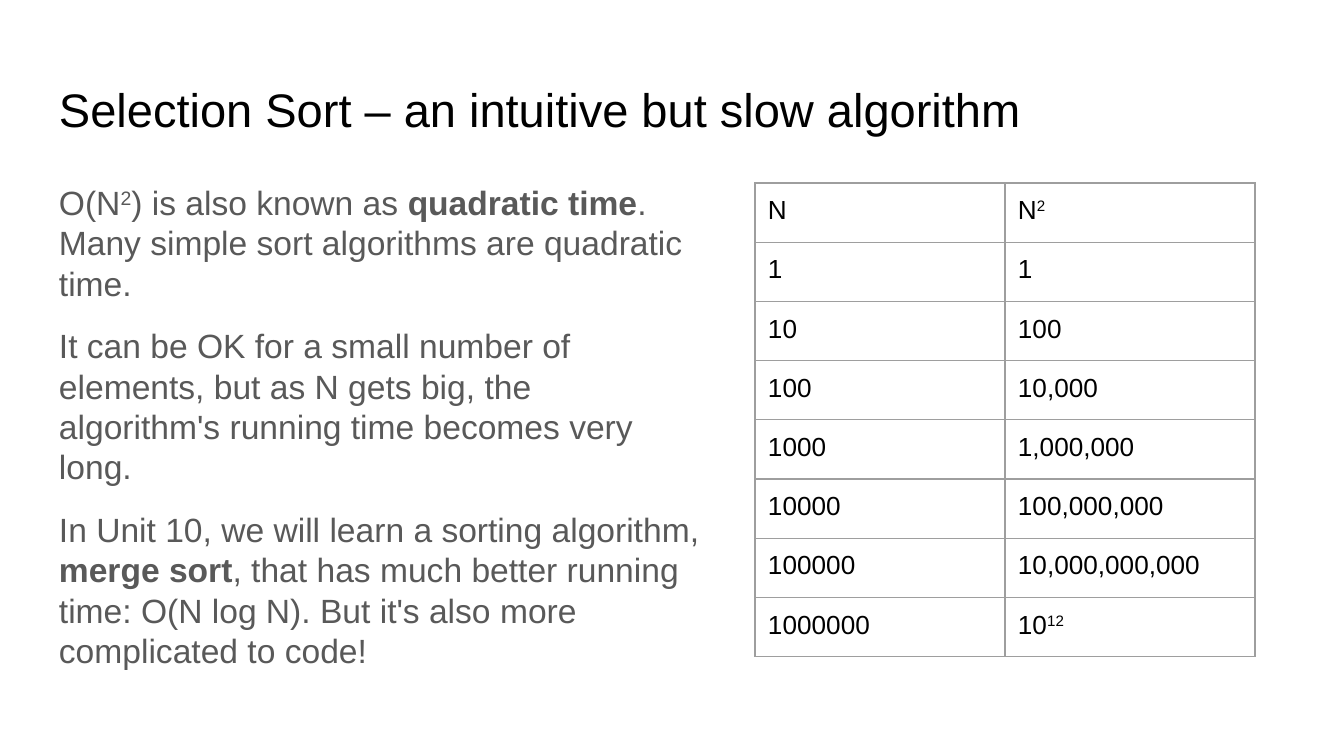
from typing import NamedTuple

from lxml.etree import SubElement
from pptx import Presentation
from pptx.dml.color import RGBColor
from pptx.enum.text import MSO_ANCHOR
from pptx.oxml.ns import qn
from pptx.util import Emu, Pt

PX_PER_INCH = 134.4
FONT = "Arial"
COLORS = {"ink": "000000", "body": "595959", "grid": "9E9E9E"}


class Span(NamedTuple):
    text: str
    bold: bool = False
    superscript: bool = False


class Box(NamedTuple):
    left: int
    top: int
    width: int
    height: int


class TextStyle(NamedTuple):
    size: float
    color: str


TITLE = [Span("Selection Sort – an intuitive but slow algorithm")]
EXPLANATION = [
    [
        Span("O(N"),
        Span("2", superscript=True),
        Span(") is also known as "),
        Span("quadratic time", bold=True),
        Span(". Many simple sort algorithms are quadratic time."),
    ],
    [Span("It can be OK for a small number of elements, but as N gets big, "
          "the algorithm's running time becomes very long.")],
    [
        Span("In Unit 10, we will learn a sorting algorithm, "),
        Span("merge sort", bold=True),
        Span(", that has much better running time: O(N log N). "
             "But it's also more complicated to code!"),
    ],
]
GROWTH = [
    ([Span("N")], [Span("N"), Span("2", superscript=True)]),
    *(([Span(str(10**k))], [Span(f"{10**(2 * k):,}")]) for k in range(6)),
    ([Span("1000000")], [Span("10"), Span("12", superscript=True)]),
]


def px(length: int) -> Emu:
    return Emu(round(length * 914400 / PX_PER_INCH))


INSET = px(13)


def write_spans(paragraph, spans: list[Span], style: TextStyle) -> None:
    for span in spans:
        run = paragraph.add_run()
        run.text = span.text
        run.font.name = FONT
        run.font.size = Pt(style.size)
        run.font.bold = span.bold
        run.font.color.rgb = RGBColor.from_string(COLORS[style.color])
        if span.superscript:
            run._r.get_or_add_rPr().set("baseline", "30000")


def set_insets(holder) -> None:
    holder.margin_left = holder.margin_right = INSET
    holder.margin_top = holder.margin_bottom = INSET


def draw_text(slide, box: Box, paragraphs: list[list[Span]],
              style: TextStyle, anchor: MSO_ANCHOR) -> None:
    frame = slide.shapes.add_textbox(*map(px, box)).text_frame
    frame.word_wrap = True
    frame.vertical_anchor = anchor
    set_insets(frame)
    for index, spans in enumerate(paragraphs):
        paragraph = frame.add_paragraph() if index else frame.paragraphs[0]
        paragraph.line_spacing = 1.0
        paragraph.space_before = Pt(12 if index else 0)
        write_spans(paragraph, spans, style)


def draw_borders(cell) -> None:
    properties = cell._tc.get_or_add_tcPr()
    for side in ("lnL", "lnR", "lnT", "lnB"):
        line = SubElement(properties, qn(f"a:{side}"), w=str(Pt(0.75)))
        fill = SubElement(line, qn("a:solidFill"))
        SubElement(fill, qn("a:srgbClr"), val=COLORS["grid"])


def draw_table(slide, box: Box, rows: list[tuple[list[Span], ...]],
               style: TextStyle) -> None:
    table = slide.shapes.add_table(len(rows), len(rows[0]), *map(px, box)).table
    table.first_row = False
    table.horz_banding = False
    for row, contents in enumerate(rows):
        for column, spans in enumerate(contents):
            cell = table.cell(row, column)
            set_insets(cell)
            draw_borders(cell)
            cell.fill.background()
            write_spans(cell.text_frame.paragraphs[0], spans, style)


def main() -> None:
    presentation = Presentation()
    presentation.slide_width = px(1344)
    presentation.slide_height = px(756)
    slide = presentation.slides.add_slide(presentation.slide_layouts[6])

    draw_text(slide, Box(46, 66, 1252, 85), [TITLE],
              TextStyle(25.2, "ink"), MSO_ANCHOR.MIDDLE)
    draw_table(slide, Box(755, 183, 500, 474), GROWTH, TextStyle(14, "ink"))
    draw_text(slide, Box(46, 169, 667, 503), EXPLANATION,
              TextStyle(18, "body"), MSO_ANCHOR.TOP)

    presentation.save("out.pptx")


if __name__ == "__main__":
    main()
